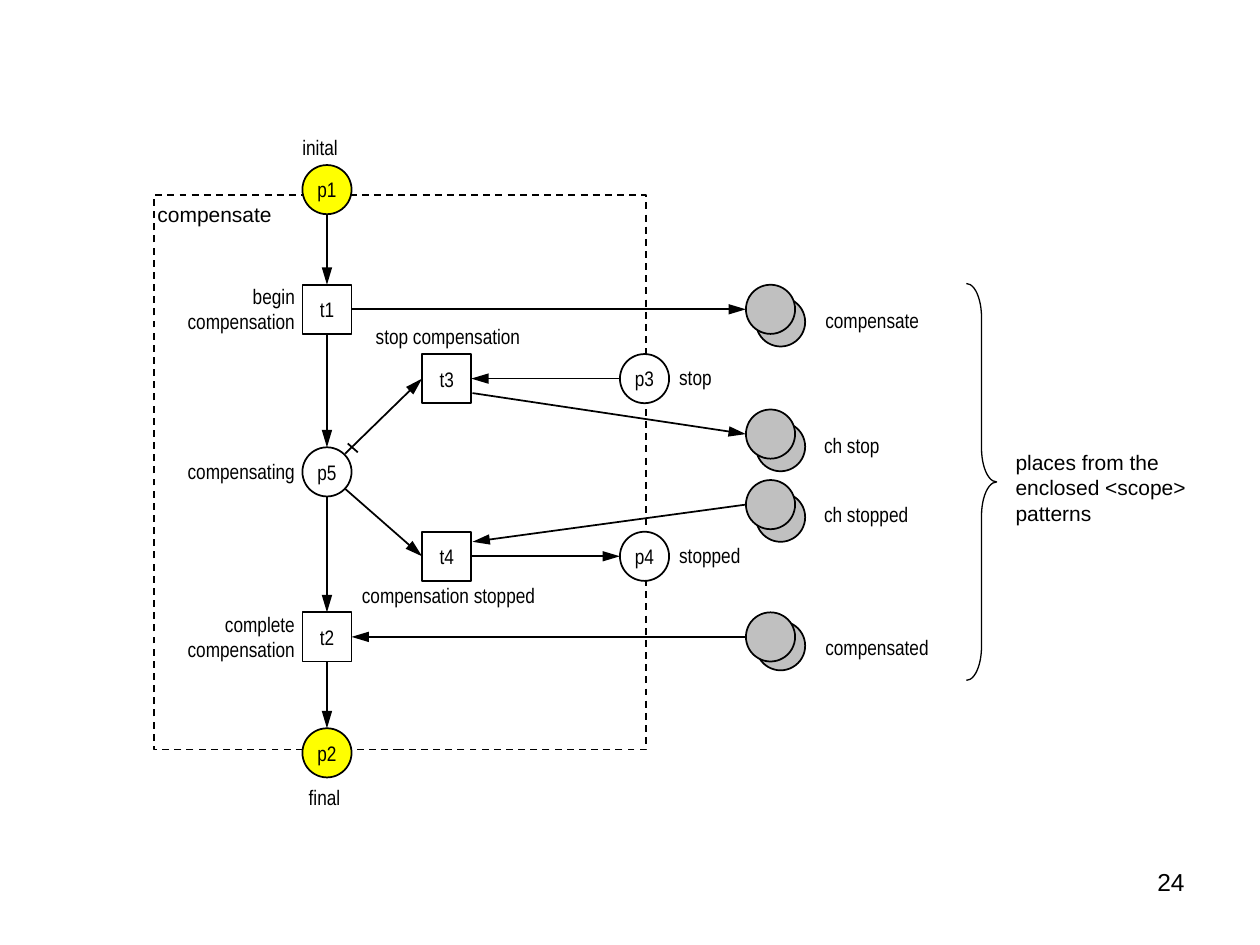
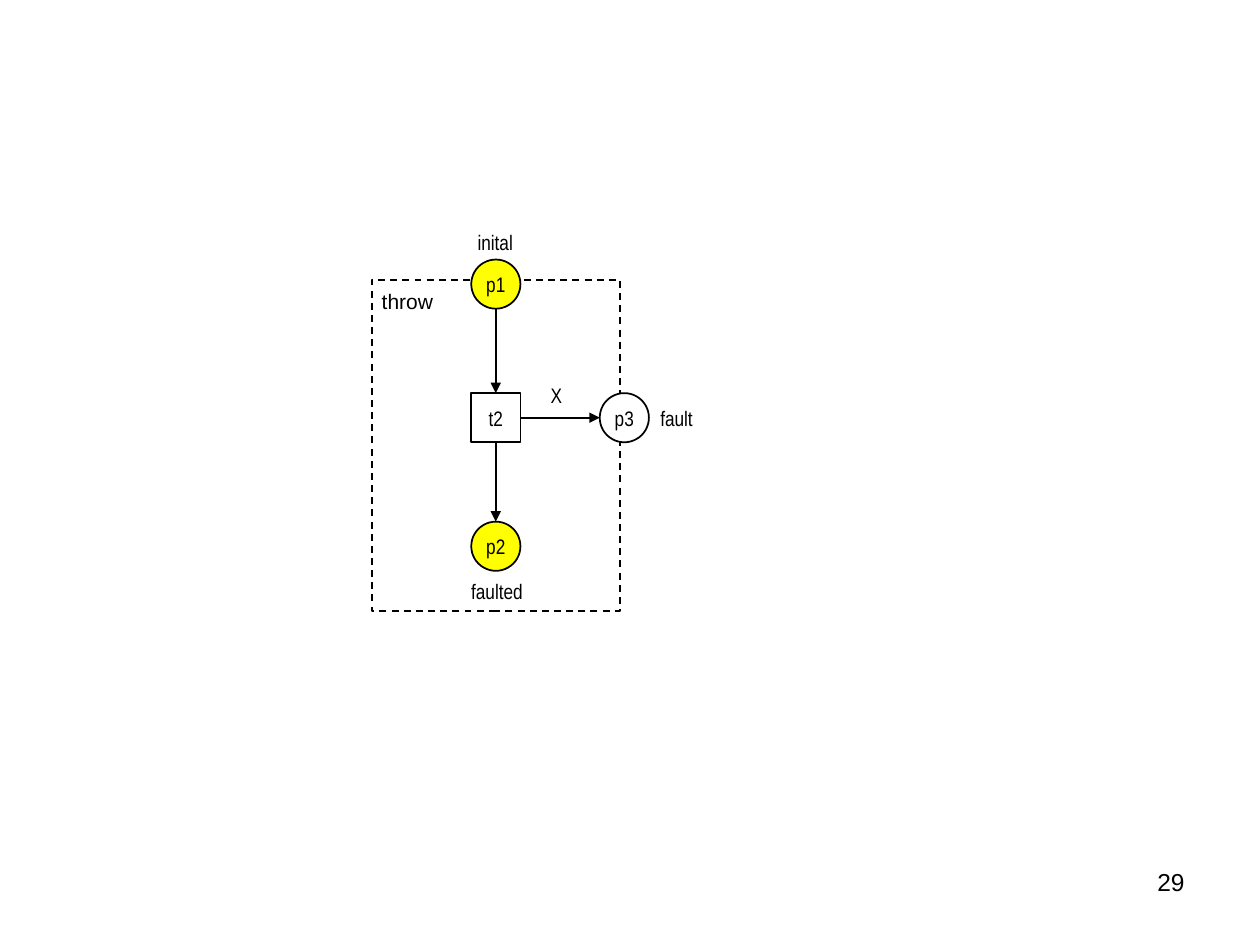
from enum import IntEnum
from typing import NamedTuple

from lxml.etree import SubElement
from pptx import Presentation
from pptx.dml.color import RGBColor
from pptx.enum.dml import MSO_LINE
from pptx.enum.shapes import MSO_CONNECTOR, MSO_SHAPE
from pptx.enum.text import MSO_ANCHOR, MSO_AUTO_SIZE, PP_ALIGN
from pptx.oxml.ns import qn
from pptx.shapes.autoshape import Shape
from pptx.slide import Slide
from pptx.text.text import TextFrame
from pptx.util import Inches, Pt

# Shared style
BLACK = RGBColor(0x00, 0x00, 0x00)
WHITE = RGBColor(0xFF, 0xFF, 0xFF)
YELLOW = RGBColor(0xFF, 0xFF, 0x00)
GREY = RGBColor(0xC0, 0xC0, 0xC0)
SANS, NARROW = "Arial", "Arial Narrow"
LEFT, CENTER, RIGHT = PP_ALIGN.LEFT, PP_ALIGN.CENTER, PP_ALIGN.RIGHT
NODE_SIZE = 0.39
LINE_HEIGHT = 0.2
LABEL_SLACK = 0.06  # spare width that keeps a label on its line
STACK_SHIFT = 0.08
PLACE, TRANSITION = MSO_SHAPE.OVAL, MSO_SHAPE.RECTANGLE


class Side(IntEnum):
    TOP = 0
    LEFT = 1
    BOTTOM = 2
    RIGHT = 3


class Point(NamedTuple):
    x: float
    y: float


class Port(NamedTuple):
    node: str
    side: Side


class Area(NamedTuple):
    left: float
    top: float
    width: float
    height: float


class Node(NamedTuple):
    name: str
    left: float
    top: float
    kind: MSO_SHAPE = PLACE
    fill: RGBColor = WHITE
    stack_drop: float = 0  # above zero: an unnamed pile of two places


class Link(NamedTuple):
    start: Port | Point
    end: Port | Point
    arrow: bool = True


class Label(NamedTuple):
    text: str
    left: float
    top: float
    width: float
    align: PP_ALIGN = LEFT
    font: str = NARROW


class Net(NamedTuple):
    number: str
    frame: Area
    nodes: list[Node]
    links: list[Link]
    labels: list[Label]
    arrow_length: str


def write_text(frame: TextFrame, text: str, *, font: str = NARROW, size: int = 12,
               align: PP_ALIGN = LEFT, wrap: bool = False) -> None:
    frame.word_wrap = wrap
    for index, line in enumerate(text.split("\n")):
        para = frame.add_paragraph() if index else frame.paragraphs[0]
        para.alignment = align
        span = para.add_run()
        span.text = line
        span.font.name = font
        span.font.size = Pt(size)
        span.font.color.rgb = BLACK


def add_outlined(page: Slide, kind: MSO_SHAPE, area: Area, *, fill: RGBColor | None = None,
                 width: float = 1) -> Shape:
    shape = page.shapes.add_shape(kind, *map(Inches, area))
    shape.shadow.inherit = False
    if fill is None:
        shape.fill.background()
    else:
        shape.fill.solid()
        shape.fill.fore_color.rgb = fill
    shape.line.color.rgb = BLACK
    shape.line.width = Pt(width)
    return shape


def add_node(page: Slide, node: Node) -> Shape:
    area = Area(node.left, node.top, NODE_SIZE, NODE_SIZE)
    if node.stack_drop:
        behind = area._replace(left=node.left + STACK_SHIFT, top=node.top + node.stack_drop)
        add_outlined(page, node.kind, behind, fill=node.fill)
    shape = add_outlined(page, node.kind, area, fill=node.fill)
    if not node.stack_drop:
        shape.text_frame.vertical_anchor = MSO_ANCHOR.MIDDLE
        write_text(shape.text_frame, node.name, align=CENTER)
    return shape


def locate(end: Port | Point, nodes: dict[str, Node]) -> Point:
    if isinstance(end, Point):
        return end
    node, half = nodes[end.node], NODE_SIZE / 2
    across, down = {Side.TOP: (half, 0), Side.LEFT: (0, half),
                    Side.BOTTOM: (half, NODE_SIZE), Side.RIGHT: (NODE_SIZE, half)}[end.side]
    return Point(node.left + across, node.top + down)


def add_link(page: Slide, link: Link, nodes: dict[str, Node], shapes: dict[str, Shape],
             arrow_length: str) -> None:
    ends = [*locate(link.start, nodes), *locate(link.end, nodes)]
    line = page.shapes.add_connector(MSO_CONNECTOR.STRAIGHT, *map(Inches, ends))
    for end, connect in ((link.start, line.begin_connect), (link.end, line.end_connect)):
        if isinstance(end, Port) and nodes[end.node].kind == TRANSITION:
            connect(shapes[end.node], int(end.side))
    line.line.color.rgb = BLACK
    line.line.width = Pt(1)
    properties = line._element.spPr
    if link.arrow:
        SubElement(properties.find(qn("a:ln")), qn("a:tailEnd"),
                   type="triangle", w="med", len=arrow_length)
    SubElement(properties, qn("a:effectLst"))


def add_label(page: Slide, label: Label) -> None:
    height = LINE_HEIGHT * len(label.text.split("\n"))
    left = label.left - LABEL_SLACK * {LEFT: 0, CENTER: 0.5, RIGHT: 1}[label.align]
    area = Area(left, label.top, label.width + LABEL_SLACK, height)
    frame = page.shapes.add_textbox(*map(Inches, area)).text_frame
    frame.margin_left = frame.margin_right = frame.margin_top = frame.margin_bottom = 0
    frame.auto_size = MSO_AUTO_SIZE.SHAPE_TO_FIT_TEXT
    write_text(frame, label.text, font=label.font, align=label.align, wrap=True)


def add_net(deck: Presentation, net: Net) -> Slide:
    page = deck.slides.add_slide(deck.slide_layouts[6])
    boundary = add_outlined(page, MSO_SHAPE.RECTANGLE, net.frame)
    boundary.line.dash_style = MSO_LINE.DASH
    nodes = {node.name: node for node in net.nodes}
    shapes = {node.name: add_node(page, node) for node in net.nodes}
    for link in net.links:
        add_link(page, link, nodes, shapes, net.arrow_length)
    for label in net.labels:
        add_label(page, label)
    # Page number
    box = page.shapes.add_textbox(Inches(7.17), Inches(6.83), Inches(2.33), Inches(0.52))
    write_text(box.text_frame, net.number, font=SANS, size=14, align=RIGHT, wrap=True)
    return page


# Columns of the compensate net
FLOW, INNER, BORDER, CHILD = 2.4, 3.35, 4.92, 5.92

COMPENSATE = Net(
    number="24",
    frame=Area(1.22, 1.55, 3.91, 4.4),
    nodes=[
        Node("p1", FLOW, 1.31, fill=YELLOW),
        Node("t1", FLOW, 2.26, TRANSITION),
        Node("p5", FLOW, 3.55),
        Node("t2", FLOW, 4.86, TRANSITION),
        Node("p2", FLOW, 5.78, fill=YELLOW),
        Node("t3", INNER, 2.81, TRANSITION),
        Node("t4", INNER, 4.22, TRANSITION),
        Node("p3", BORDER, 2.81),
        Node("p4", BORDER, 4.22),
        Node("compensate", CHILD, 2.26, fill=GREY, stack_drop=0.1),
        Node("ch stop", CHILD, 3.25, fill=GREY, stack_drop=0.1),
        Node("ch stopped", CHILD, 3.81, fill=GREY, stack_drop=0.1),
        Node("compensated", CHILD, 4.86, fill=GREY, stack_drop=0.07),
    ],
    links=[
        Link(Port("p1", Side.BOTTOM), Port("t1", Side.TOP)),
        Link(Port("t1", Side.BOTTOM), Port("p5", Side.TOP)),
        Link(Port("p5", Side.BOTTOM), Port("t2", Side.TOP)),
        Link(Port("t2", Side.BOTTOM), Port("p2", Side.TOP)),
        Link(Port("t1", Side.RIGHT), Port("compensate", Side.LEFT)),
        Link(Port("compensated", Side.LEFT), Port("t2", Side.RIGHT)),
        Link(Point(2.74, 3.6), Port("t3", Side.LEFT)),
        Link(Point(2.76, 3.52), Point(2.84, 3.59), arrow=False),
        Link(Point(2.74, 3.88), Port("t4", Side.LEFT)),
        Link(Port("p3", Side.LEFT), Port("t3", Side.RIGHT)),
        Link(Port("t4", Side.RIGHT), Port("p4", Side.LEFT)),
        Link(Point(3.75, 3.12), Port("ch stop", Side.LEFT)),
        Link(Port("ch stopped", Side.LEFT), Point(3.75, 4.3)),
    ],
    labels=[
        Label("inital", 2.4, 1.07, 0.28),
        Label("final", 2.45, 6.23, 0.25),
        Label("compensate", 1.25, 1.6, 0.91, font=SANS),
        Label("begin\ncompensation", 1.49, 2.25, 0.85, RIGHT),
        Label("compensating", 1.49, 3.64, 0.85, RIGHT),
        Label("complete\ncompensation", 1.49, 4.85, 0.85, RIGHT),
        Label("stop compensation", 2.98, 2.57, 1.15, CENTER),
        Label("compensation stopped", 2.87, 4.62, 1.38, CENTER),
        Label("stop", 5.39, 2.89, 0.26),
        Label("stopped", 5.39, 4.31, 0.49),
        Label("compensate", 6.55, 2.44, 0.75),
        Label("ch stop", 6.54, 3.43, 0.44),
        Label("ch stopped", 6.54, 3.98, 0.67),
        Label("compensated", 6.55, 5.04, 0.82),
        Label("places from the\nenclosed <scope>\npatterns", 8.06, 3.57, 1.35, font=SANS),
    ],
    arrow_length="lg",
)

THROW = Net(
    number="29",
    frame=Area(2.95, 2.22, 1.97, 2.63),
    nodes=[
        Node("p1", 3.74, 2.06, fill=YELLOW),
        Node("t2", 3.74, 3.12, TRANSITION),
        Node("p2", 3.74, 4.14, fill=YELLOW),
        Node("p3", 4.76, 3.12),
    ],
    links=[
        Link(Port("p1", Side.BOTTOM), Port("t2", Side.TOP)),
        Link(Port("t2", Side.BOTTOM), Port("p2", Side.TOP)),
        Link(Port("t2", Side.RIGHT), Port("p3", Side.LEFT)),
    ],
    labels=[
        Label("inital", 3.79, 1.82, 0.28),
        Label("faulted", 3.74, 4.59, 0.41, CENTER),
        Label("throw", 3.03, 2.29, 0.41, font=SANS),
        Label("fault", 5.24, 3.22, 0.26),
        Label("X", 4.37, 3.04, 0.09),
    ],
    arrow_length="med",
)


def main() -> None:
    deck = Presentation()
    deck.slide_width, deck.slide_height = Inches(10), Inches(7.5)
    page = add_net(deck, COMPENSATE)
    # Brace around the child places
    brace = add_outlined(page, MSO_SHAPE.RIGHT_BRACE, Area(7.67, 2.25, 0.24, 3.15), width=0.75)
    brace.adjustments[0] = 1.12
    add_net(deck, THROW)
    deck.save("out.pptx")


if __name__ == "__main__":
    main()
